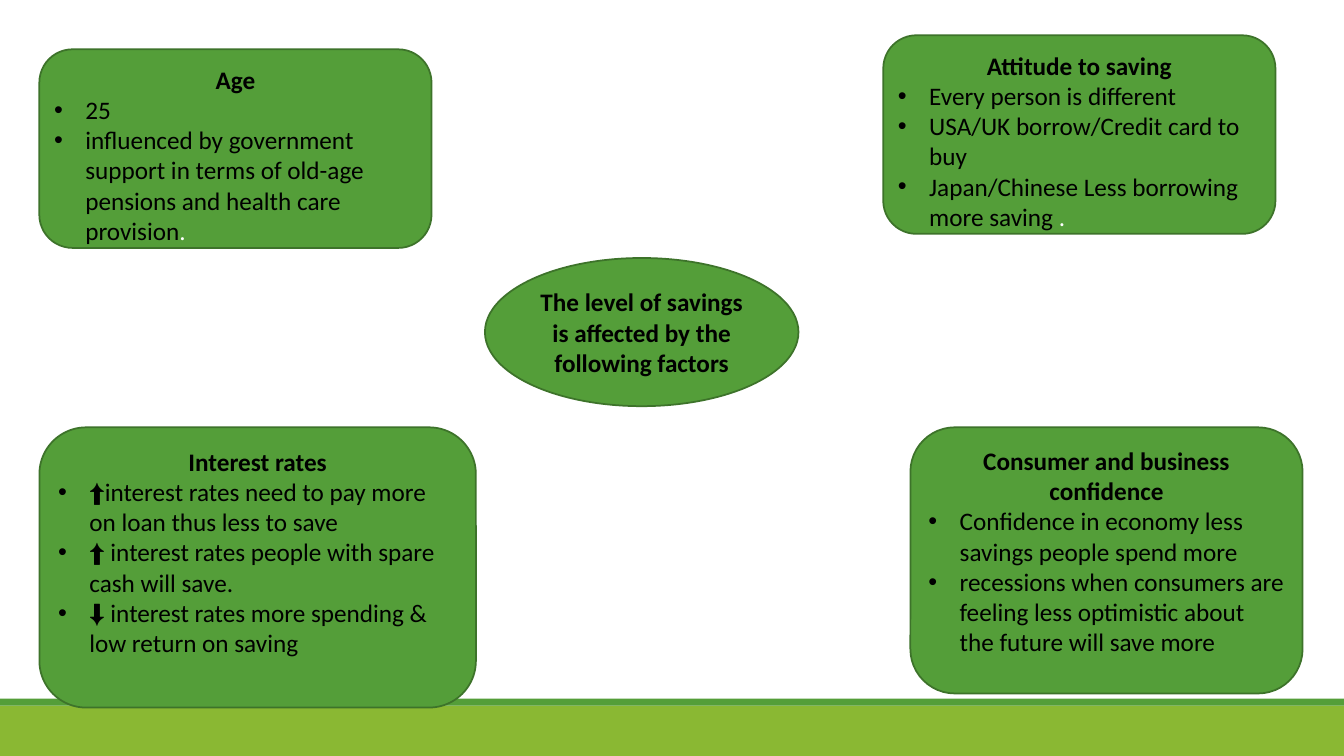
from lxml import etree
from pptx import Presentation
from pptx.dml.color import RGBColor
from pptx.enum.shapes import MSO_SHAPE
from pptx.enum.text import MSO_ANCHOR, PP_ALIGN
from pptx.oxml.ns import qn
from pptx.util import Inches, Pt

RECT, OVAL, ROUND = MSO_SHAPE.RECTANGLE, MSO_SHAPE.OVAL, MSO_SHAPE.ROUNDED_RECTANGLE
TOP, MIDDLE = MSO_ANCHOR.TOP, MSO_ANCHOR.MIDDLE
LEFT, CENTER = PP_ALIGN.LEFT, PP_ALIGN.CENTER
WIDTH, HEIGHT = Inches(13.33), Inches(7.5)
COLORS = {"lime": "8AB833", "green": "549E39", "edge": "3D732A",
          "ink": "000000", "white": "FFFFFF"}
FACTORS = [
    ((2.93, 6.53, 29.18, 26.27), "Age", [
        [("25", "ink")],
        [("influenced by government support in terms of old-age pensions "
          "and health care provision", "ink"), (".", "white")]]),
    ((65.72, 4.67, 29.18, 26.27), "Attitude to saving", [
        [("Every person is different", "ink")],
        [("USA/UK borrow/Credit card to buy", "ink")],
        [("Japan/Chinese Less borrowing more saving ", "ink"), (".", "white")]]),
    ((67.74, 56.53, 29.18, 35.2), "Consumer and business confidence", [
        [("Confidence in economy less savings people spend more", "ink")],
        [("recessions when consumers are feeling less optimistic about "
          "the future will save more", "ink")]]),
    ((2.93, 56.53, 32.48, 37.07), "Interest rates", [
        [("⬆interest rates need to pay more on loan thus less to save", "ink")],
        [("⬆ interest rates people with spare cash will save.", "ink")],
        [("⬇ interest rates more spending & low return on saving", "ink")]]),
]


def tint(name):
    """Return the named colour."""
    return RGBColor.from_string(COLORS[name])


def add_form(slide, kind, area, fill, edge=None):
    """Add a flat shape whose area is in percent of the slide."""
    x, y, w, h = (share / 100 for share in area)
    form = slide.shapes.add_shape(kind, int(x * WIDTH), int(y * HEIGHT),
                                  int(w * WIDTH), int(h * HEIGHT))
    form.shadow.inherit = False
    form.fill.solid()
    form.fill.fore_color.rgb = tint(fill)
    if edge:
        form.line.color.rgb = tint(edge)
        form.line.width = Pt(1.25)
    else:
        form.line.fill.background()
    return form


def set_frame(form, anchor):
    """Set margins, wrap and anchor, and return the text frame."""
    frame = form.text_frame
    frame.margin_left = frame.margin_right = Inches(0.05)
    frame.margin_top = frame.margin_bottom = Inches(0.05)
    frame.word_wrap = True
    frame.vertical_anchor = anchor
    return frame


def add_run(para, text, color="ink", bold=False):
    """Add one styled run."""
    run = para.add_run()
    run.text = text
    run.font.name, run.font.size, run.font.bold = "Calibri", Pt(18), bold
    run.font.color.rgb = tint(color)


def add_head(frame, text):
    """Write the bold centred first paragraph."""
    para = frame.paragraphs[0]
    para.alignment = CENTER
    add_run(para, text, bold=True)


def add_point(frame, runs):
    """Add a bulleted paragraph with a hanging indent."""
    para = frame.add_paragraph()
    para.alignment = LEFT
    props = para._p.get_or_add_pPr()
    props.set("marL", str(Inches(0.31)))
    props.set("indent", str(-Inches(0.31)))
    color = etree.SubElement(props, qn("a:buClr"))
    etree.SubElement(color, qn("a:srgbClr"), val=COLORS["ink"])
    etree.SubElement(props, qn("a:buFont"), typeface="Arial")
    etree.SubElement(props, qn("a:buChar"), char="•")
    for text, name in runs:
        add_run(para, text, name)


def add_topic(slide, area):
    """Add the central oval."""
    form = add_form(slide, OVAL, area, "green", "edge")
    add_head(set_frame(form, MIDDLE),
             "The level of savings is affected by the following factors")


def add_factor(slide, area, head, points):
    """Add a rounded card with a heading and bullets."""
    form = add_form(slide, ROUND, area, "green", "edge")
    form.adjustments[0] = 0.167
    frame = set_frame(form, TOP)
    add_head(frame, head)
    for runs in points:
        add_point(frame, runs)


def main():
    """Build and save the slide."""
    deck = Presentation()
    deck.slide_width, deck.slide_height = WIDTH, HEIGHT
    slide = deck.slides.add_slide(deck.slide_layouts[6])
    add_form(slide, RECT, (0, 93.33, 100, 6.67), "lime")
    add_form(slide, RECT, (0, 92.4, 100, 0.93), "green")
    add_topic(slide, (36.08, 34.13, 23.33, 19.6))
    for area, head, points in FACTORS:
        add_factor(slide, area, head, points)
    deck.save("out.pptx")


if __name__ == "__main__":
    main()
